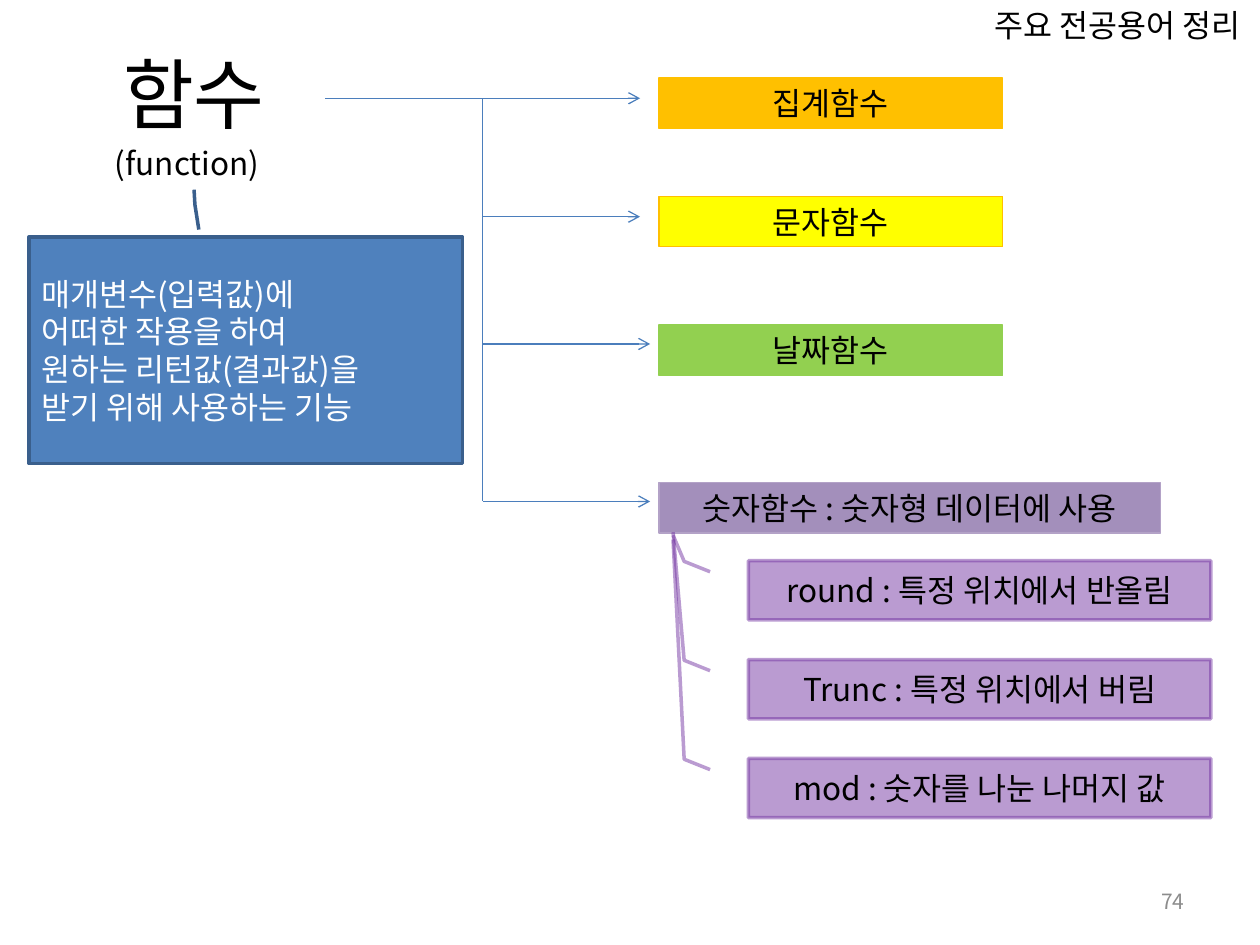
from lxml.etree import SubElement
from pptx import Presentation
from pptx.dml.color import RGBColor
from pptx.enum.shapes import MSO_CONNECTOR as Link, MSO_SHAPE as Preset
from pptx.enum.text import MSO_ANCHOR as Anchor, PP_ALIGN as Align
from pptx.oxml.ns import qn
from pptx.util import Inches, Pt

FONT = "Noto Sans CJK KR"
BLACK, WHITE, GREY = "000000", "FFFFFF", "8C8C8C"
BLUE, NAVY, LINK_BLUE = "4F81BD", "3A5F8C", "4B7EBC"
ORANGE, YELLOW, GREEN = "FFC000", "FFFF00", "92D050"
PURPLE, VIOLET, LAVENDER = "8064A2", "7030A0", "B3A2C7"


def color(value):
    return RGBColor.from_string(value)


def set_text(shape, lines, size=18, ink=BLACK, align=Align.CENTER, anchor=Anchor.TOP):
    frame = shape.text_frame
    for name, value in {"word_wrap": True, "vertical_anchor": anchor}.items():
        setattr(frame, name, value)
    frame.text = "\n".join(lines)
    for paragraph in frame.paragraphs:
        paragraph.alignment = align
        for run in paragraph.runs:
            for name, value in {"name": FONT, "size": Pt(size)}.items():
                setattr(run.font, name, value)
            run.font.color.rgb = color(ink)
            SubElement(run.font._element, qn("a:ea"), typeface=FONT)


def add_label(slide, box, text, **style):
    label = slide.shapes.add_textbox(*map(Inches, box))
    set_text(label, [text], **style)


def set_opacity(shape, route, percent):
    for tint in shape._element.spPr.xpath(route + "a:solidFill/a:srgbClr"):
        SubElement(tint, qn("a:alpha"), val=str(percent * 1000))


def add_box(slide, box, lines, fill, edge, weight=0.75, preset=Preset.RECTANGLE,
            opacity=100, edge_opacity=100, pointer=(), **style):
    shape = slide.shapes.add_shape(preset, *map(Inches, box))
    shape.shadow.inherit = False
    shape.fill.solid()
    shape.fill.fore_color.rgb = color(fill)
    shape.line.color.rgb = color(edge)
    shape.line.width = Pt(weight)
    for route, percent in (("", opacity), ("a:ln/", edge_opacity)):
        if percent < 100:
            set_opacity(shape, route, percent)
    for index, value in enumerate(pointer):
        shape.adjustments[index] = value
    set_text(shape, lines, **style)


def add_link(slide, start, end, kind=Link.STRAIGHT, arrow=True):
    link = slide.shapes.add_connector(kind, *map(Inches, start + end))
    link.line.color.rgb = color(LINK_BLUE)
    link.line.width = Pt(0.75)
    if arrow:
        SubElement(link.line._get_or_add_ln(), qn("a:tailEnd"), type="arrow")
    SubElement(link._element.spPr, qn("a:effectLst"))


def main():
    deck = Presentation()
    deck.slide_width, deck.slide_height = Inches(10), Inches(7.5)
    slide = deck.slides.add_slide(deck.slide_layouts[5])

    # Term and its definition
    term = slide.shapes.title
    term_box = {"left": 0.5, "top": 0.3, "width": 2.08, "height": 0.87}
    for side, value in term_box.items():
        setattr(term, side, Inches(value))
    set_text(term, ["함수"], size=44, anchor=Anchor.MIDDLE)
    add_label(slide, (0.78, 1.09, 1.41, 0.4), "(function)")
    definition = ["매개변수(입력값)에", "어떠한 작용을 하여",
                  "원하는 리턴값(결과값)을", "받기 위해 사용하는 기능"]
    add_box(slide, (0.23, 1.88, 3.44, 1.8), definition, BLUE, NAVY, 2,
            Preset.LINE_CALLOUT_2, ink=WHITE, align=Align.JUSTIFY, anchor=Anchor.MIDDLE,
            pointer=(-0.032, 0.392, -0.142, 0.383, -0.208, 0.381))

    # Branches from the term to the function families
    trunk = 3.83
    add_link(slide, (2.58, 0.78), (5.08, 1.72), Link.ELBOW)
    add_link(slide, (trunk, 1.64), (trunk, 3.98), arrow=False)
    for start, end, y in ((3.75, 5.08, 0.78), (trunk, 5.16, 2.73), (trunk, 5.16, 3.98)):
        add_link(slide, (start, y), (end, y))

    # Function families
    families = [
        ("집계함수", 0.62, 2.73, ORANGE, ORANGE, 100),
        ("문자함수", 1.56, 2.73, YELLOW, ORANGE, 100),
        ("날짜함수", 2.58, 2.73, GREEN, GREEN, 100),
        ("숫자함수 : 숫자형 데이터에 사용", 3.83, 3.98, PURPLE, LAVENDER, 72),
    ]
    for name, top, width, fill, edge, opacity in families:
        add_box(slide, (5.23, top, width, 0.4), [name], fill, edge, opacity=opacity)

    # Numeric functions, each pointing back to its family
    numeric = [("round : 특정 위치에서 반올림", -0.431),
               ("Trunc : 특정 위치에서 버림", -2.151),
               ("mod : 숫자를 나눈 나머지 값", -3.697)]
    for row, (usage, reach) in enumerate(numeric):
        add_box(slide, (5.94, 4.45 + 0.785 * row, 3.67, 0.47), [usage], VIOLET, VIOLET, 2,
                Preset.LINE_CALLOUT_2, opacity=48, edge_opacity=47, anchor=Anchor.MIDDLE,
                pointer=(0.188, -0.083, 0.013, -0.139, reach, -0.163))

    # Section heading and page number
    add_label(slide, (7.58, 0, 2.58, 0.4), "주요 전공용어 정리")
    add_label(slide, (7.17, 6.95, 2.33, 0.4), "74", size=12, ink=GREY,
              align=Align.RIGHT, anchor=Anchor.MIDDLE)

    deck.save("out.pptx")


if __name__ == "__main__":
    main()
